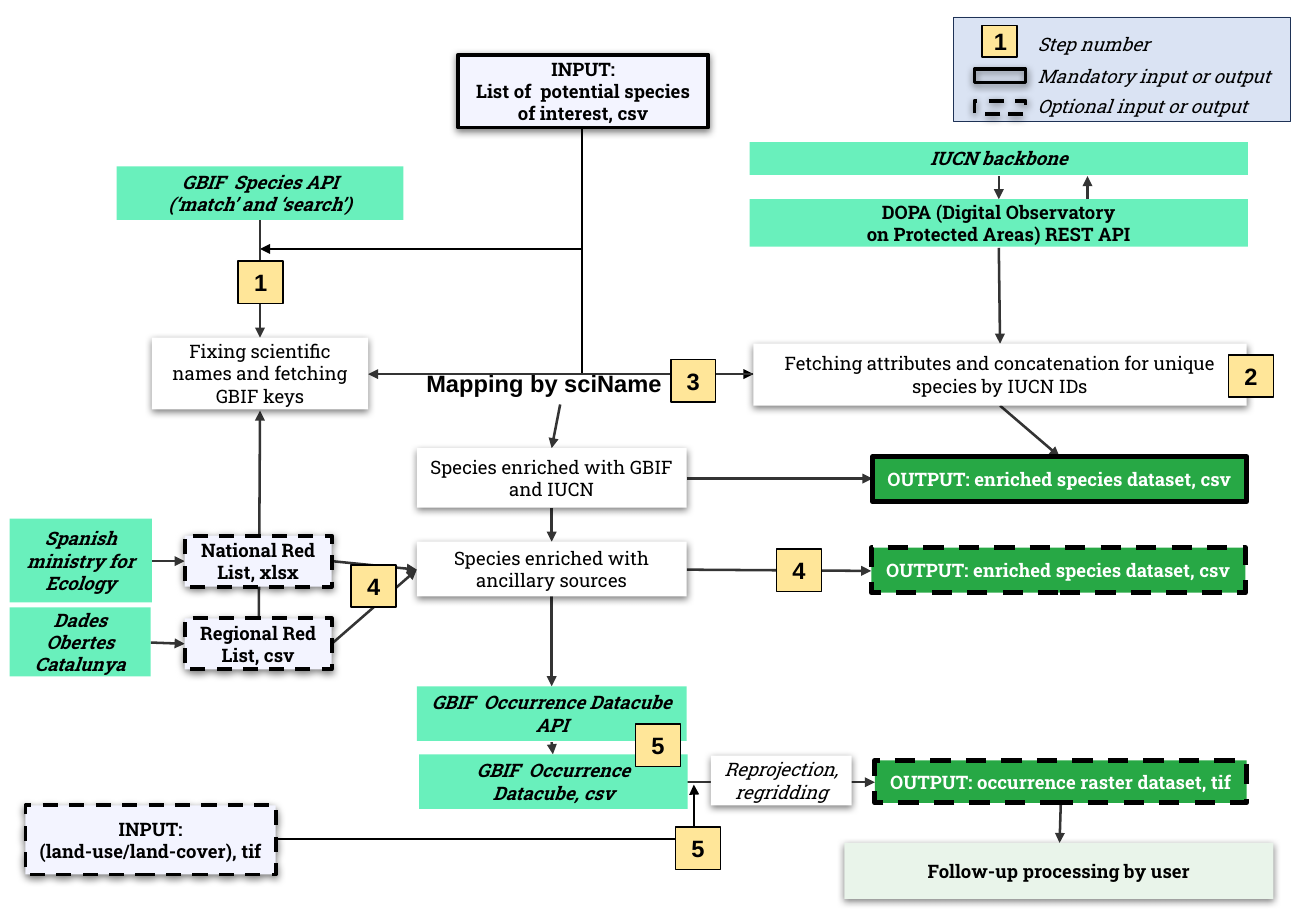
from dataclasses import dataclass

from lxml import etree
from pptx import Presentation
from pptx.dml.color import RGBColor
from pptx.enum.dml import MSO_LINE
from pptx.enum.shapes import MSO_CONNECTOR as Connector, MSO_SHAPE as Shape
from pptx.enum.text import MSO_ANCHOR as Anchor, PP_ALIGN as Align
from pptx.oxml.ns import qn
from pptx.util import Inches, Pt


@dataclass(frozen=True)
class Theme:
    """Colours, fonts and type sizes of the slide."""
    ink: str = "000000"
    white: str = "FFFFFF"
    arrow: str = "343434"
    source: str = "69F0BC"
    input: str = "F3F4FF"
    output: str = "27A845"
    follow_up: str = "E9F4EA"
    badge: str = "FFE699"
    legend: str = "DAE3F3"
    legend_edge: str = "1E3256"
    body_font: str = "Roboto Slab"
    label_font: str = "Arial"
    body_size: int = 11
    label_size: int = 14


THEME = Theme()


@dataclass(frozen=True)
class Style:
    """Look of one kind of box."""
    fill: str | None = None
    edge: float = 0
    edge_color: str = THEME.ink
    dashed: bool = False
    shadow: bool = False
    color: str = THEME.ink
    bold: bool = False
    italic: bool = False
    font: str = THEME.body_font
    size: int = THEME.body_size
    align: Align = Align.CENTER


SOURCE = Style(THEME.source, bold=True, italic=True)
SERVICE = Style(THEME.source, bold=True)
PROCESS = Style(THEME.white, shadow=True)
TRANSFORM = Style(THEME.white, shadow=True, italic=True)
FOLLOW_UP = Style(THEME.follow_up, shadow=True, bold=True)
INPUT = Style(THEME.input, 2.25, shadow=True, bold=True)
OPTIONAL_INPUT = Style(THEME.input, 2.25, dashed=True, shadow=True, bold=True)
OUTPUT = Style(THEME.output, 3, color=THEME.white, bold=True)
OPTIONAL_OUTPUT = Style(THEME.output, 3, dashed=True, color=THEME.white, bold=True)
BADGE = Style(THEME.badge, 1, bold=True, font=THEME.label_font, size=THEME.label_size)
LABEL = Style(bold=True, font=THEME.label_font, size=THEME.label_size, align=Align.LEFT)
LEGEND = Style(THEME.legend, 0.5, THEME.legend_edge)
LEGEND_TEXT = Style(italic=True, align=Align.LEFT)
MANDATORY_KEY = Style(edge=2.25, shadow=True)
OPTIONAL_KEY = Style(edge=2.25, dashed=True, shadow=True)

BOXES = [
    (SOURCE, (6.17, 1.17, 4.1, 0.27), "IUCN backbone"),
    (SERVICE, (6.17, 1.64, 4.1, 0.39),
     "DOPA (Digital Observatory\non Protected Areas) REST API"),
    (FOLLOW_UP, (6.95, 6.94, 3.53, 0.46), "Follow-up processing by user"),
    (PROCESS, (6.2, 2.83, 4.06, 0.51),
     "Fetching attributes and concatenation for unique species by IUCN IDs"),
    (SOURCE, (0.96, 1.37, 2.36, 0.44), "GBIF  Species API\n(‘match’ and ‘search’)"),
    (PROCESS, (1.25, 2.78, 1.78, 0.59), "Fixing scientific names and fetching GBIF keys"),
    (PROCESS, (3.43, 3.69, 2.22, 0.49), "Species enriched with GBIF and IUCN"),
    (PROCESS, (3.43, 4.46, 2.22, 0.45), "Species enriched with ancillary sources"),
    (SOURCE, (3.43, 5.65, 2.22, 0.45), "GBIF  Occurrence Datacube API"),
    (SOURCE, (3.45, 6.21, 2.21, 0.45), "GBIF  Occurrence Datacube, csv"),
    (TRANSFORM, (5.85, 6.22, 1.16, 0.41), "Reprojection, regridding"),
    (INPUT, (3.77, 0.45, 2.06, 0.6),
     "INPUT:\nList of  potential species of interest, csv"),
    (OPTIONAL_INPUT, (0.21, 6.63, 2.06, 0.57), "INPUT:\n(land-use/land-cover), tif"),
    (OPTIONAL_INPUT, (1.52, 4.41, 1.21, 0.42), "National Red List, xlsx"),
    (OPTIONAL_INPUT, (1.52, 5.09, 1.21, 0.42), "Regional Red List, csv"),
    (SOURCE, (0.08, 4.27, 1.17, 0.69), "Spanish ministry for Ecology"),
    (SOURCE, (0.08, 5, 1.16, 0.57), "Dades Obertes Catalunya"),
    (OUTPUT, (7.18, 3.76, 3.08, 0.37), "OUTPUT: enriched species dataset, csv"),
    (OPTIONAL_OUTPUT, (7.17, 4.51, 3.08, 0.37), "OUTPUT: enriched species dataset, csv"),
    (OPTIONAL_OUTPUT, (7.2, 6.26, 3.06, 0.35), "OUTPUT: occurrence raster dataset, tif"),
    (LEGEND, (7.85, 0.14, 2.77, 0.86), ""),
    (MANDATORY_KEY, (8.02, 0.57, 0.42, 0.11), ""),
    (OPTIONAL_KEY, (8.02, 0.83, 0.42, 0.11), ""),
    (BADGE, (8.08, 0.21, 0.29, 0.26), "1"),
]

LEGEND_LABELS = [
    ("Step number", 0.26, 0.2),
    ("Mandatory input or output", 0.53, 0.2),
    ("Optional input or output", 0.82, 0.11),
]

STEPS = [("1", 1.96, 2.15), ("2", 10.11, 2.92), ("3", 5.52, 2.96), ("4", 2.89, 4.65),
         ("4", 6.39, 4.52), ("5", 5.23, 5.96), ("5", 5.56, 6.81)]

ARROWS = [
    ((2.13, 5.09), (2.14, 3.38)), ((8.22, 2.04), (8.23, 2.83)),
    ((4.54, 6.11), (4.55, 6.21)), ((8.22, 1.45), (8.22, 1.64)),
    ((8.95, 1.64), (8.95, 1.45)), ((8.23, 3.34), (8.72, 3.76)),
    ((2.14, 1.81), (2.14, 2.78)), ((2.73, 5.3), (3.43, 4.69)),
    ((4.54, 4.18), (4.54, 4.46)), ((8.73, 6.61), (8.72, 6.94)),
    ((5.65, 6.44), (7.2, 6.44)), ((5.65, 3.94), (7.18, 3.94)),
    ((5.65, 4.69), (7.17, 4.7)), ((1.25, 4.62), (1.52, 4.62)),
    ((4.54, 4.91), (4.54, 5.65)), ((1.24, 5.29), (1.52, 5.3)),
    ((2.73, 4.62), (3.43, 4.69)), ((6.2, 3.08), (3.03, 3.08)),
    ((4.61, 3.33), (4.54, 3.69)),
]


def write_text(shape, text, style, anchor=Anchor.MIDDLE):
    """Fill a shape with one paragraph for each line of text."""
    frame = shape.text_frame
    frame.word_wrap = True
    frame.vertical_anchor = anchor
    for index, line in enumerate(text.split("\n")):
        paragraph = frame.add_paragraph() if index else frame.paragraphs[0]
        paragraph.alignment = style.align
        run = paragraph.add_run()
        run.text = line
        run.font.name, run.font.size = style.font, Pt(style.size)
        run.font.bold, run.font.italic = style.bold, style.italic
        run.font.color.rgb = RGBColor.from_string(style.color)


def add_shadow(shape):
    """Give a shape a soft shadow below it."""
    effects = shape._element.spPr.find(qn("a:effectLst"))
    shadow = etree.SubElement(effects, qn("a:outerShdw"), blurRad=str(Pt(4.5)),
                              dist=str(Pt(1.5)), dir="5400000", rotWithShape="0")
    color = etree.SubElement(shadow, qn("a:srgbClr"), val=THEME.ink)
    etree.SubElement(color, qn("a:alpha"), val="50000")


def add_box(slide, style, place, text):
    """Draw a rectangle of the given style with its text."""
    shape = slide.shapes.add_shape(Shape.RECTANGLE, *map(Inches, place))
    shape.shadow.inherit = False
    if style.fill:
        shape.fill.solid()
        shape.fill.fore_color.rgb = RGBColor.from_string(style.fill)
    else:
        shape.fill.background()
    if style.edge:
        shape.line.color.rgb = RGBColor.from_string(style.edge_color)
        shape.line.width = Pt(style.edge)
        if style.dashed:
            shape.line.dash_style = MSO_LINE.DASH
    else:
        shape.line.fill.background()
    if style.shadow:
        add_shadow(shape)
    if text:
        write_text(shape, text, style)


def add_label(slide, style, place, text, anchor=Anchor.MIDDLE):
    """Place free text on the slide."""
    write_text(slide.shapes.add_textbox(*map(Inches, place)), text, style, anchor)


def add_arrow(slide, begin, end, color=THEME.arrow, width=1.5, kind=Connector.STRAIGHT):
    """Draw a connector with an arrowhead at its end."""
    connector = slide.shapes.add_connector(kind, *map(Inches, (*begin, *end)))
    connector.line.color.rgb = RGBColor.from_string(color)
    connector.line.width = Pt(width)
    properties = connector._element.spPr
    etree.SubElement(properties.find(qn("a:ln")), qn("a:tailEnd"), type="triangle")
    etree.SubElement(properties, qn("a:effectLst"))
    return connector


def add_drop_elbow(slide, begin, end):
    """Draw an arrow that goes down and then turns sideways."""
    turn = 1 if end[0] < begin[0] else -1
    middle_x, middle_y = (begin[0] + end[0]) / 2, (begin[1] + end[1]) / 2
    turned = [(middle_x + turn * (y - middle_y), middle_y - turn * (x - middle_x))
              for x, y in (begin, end)]
    connector = add_arrow(slide, *turned, THEME.ink, kind=Connector.ELBOW)
    properties = connector._element.spPr
    properties.find(qn("a:prstGeom")).set("prst", "bentConnector2")
    properties.find(qn("a:xfrm")).set("rot", str(turn * 90 % 360 * 60000))


def add_rise_elbow(slide, begin, end):
    """Draw an arrow that goes sideways and rises at its far end."""
    connector = add_arrow(slide, begin, end, THEME.ink, 1, Connector.ELBOW)
    geometry = connector._element.spPr.find(qn("a:prstGeom"))
    guides = geometry.find(qn("a:avLst"))
    etree.SubElement(guides, qn("a:gd"), name="adj1", fmla="val 100100")


def main():
    """Build the species workflow slide and save it."""
    presentation = Presentation()
    presentation.slide_width, presentation.slide_height = Inches(10.83), Inches(7.5)
    slide = presentation.slides.add_slide(presentation.slide_layouts[6])
    for end in ((2.14, 2.05), (6.2, 3.08)):
        add_drop_elbow(slide, (4.79, 1.05), end)
    add_rise_elbow(slide, (2.26, 6.91), (5.71, 6.46))
    for begin, end in ARROWS:
        add_arrow(slide, begin, end)
    for style, place, text in BOXES:
        add_box(slide, style, place, text)
    for text, top, height in LEGEND_LABELS:
        add_label(slide, LEGEND_TEXT, (8.44, top, 2.26, height), text)
    add_label(slide, LABEL, (3.41, 2.99, 2.41, 0.34), "Mapping by sciName", Anchor.TOP)
    for number, left, top in STEPS:
        add_box(slide, BADGE, (left, top, 0.37, 0.35), number)
    presentation.save("out.pptx")


if __name__ == "__main__":
    main()
